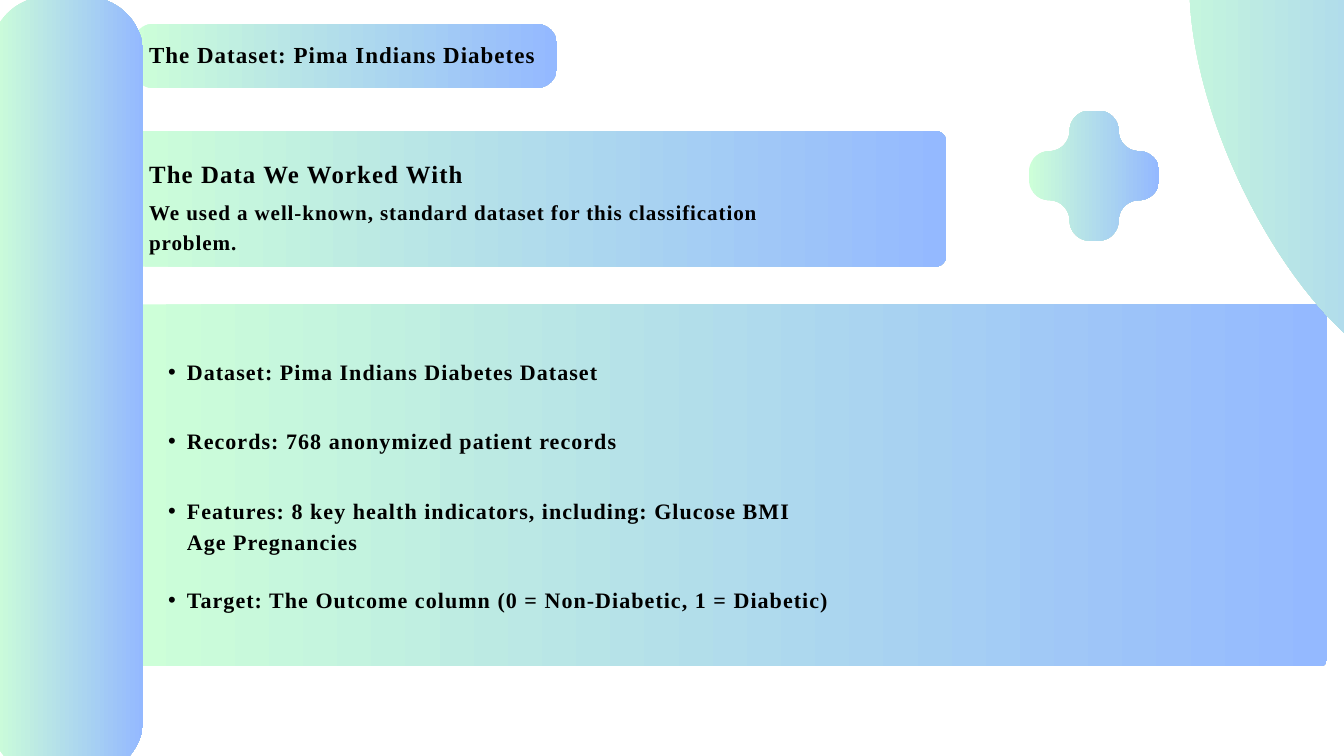
"""Builds the Pima Indians Diabetes dataset slide."""
from math import cos, radians, sin

from lxml.etree import SubElement
from pptx import Presentation
from pptx.dml.color import RGBColor
from pptx.enum.shapes import MSO_SHAPE as SHAPE
from pptx.enum.text import MSO_AUTO_SIZE as AUTO_SIZE
from pptx.oxml.ns import qn
from pptx.util import Pt

PX = 9525
FONT = "Times New Roman"
COLORS = {"mint": "CDFFD8", "blue": "94B9FF", "text": "000000"}


def paint(shape):
    shape.shadow.inherit = False
    shape.line.fill.background()
    shape.fill.gradient()
    shape.fill.gradient_angle = 0
    for stop, name in zip(shape.fill.gradient_stops, ("mint", "blue")):
        stop.color.rgb = RGBColor.from_string(COLORS[name])
    shape._element.spPr.find(qn("a:gradFill")).set("rotWithShape", "0")


def write(text, top, width, height, size, leading, tracking, bullet=False):
    box = slide.shapes.add_textbox(213 * PX, top * PX, width * PX, height * PX)
    frame = box.text_frame
    frame.margin_left = frame.margin_top = frame.margin_right = frame.margin_bottom = 0
    frame.word_wrap = True
    frame.auto_size = AUTO_SIZE.SHAPE_TO_FIT_TEXT
    paragraph = frame.paragraphs[0]
    paragraph.line_spacing = Pt(leading)
    if bullet:
        paragraph.level = 1
        properties = paragraph._p.get_or_add_pPr()
        properties.set("marL", str(54 * PX))
        properties.set("indent", str(-27 * PX))
        SubElement(properties, qn("a:buFont")).set("typeface", "Arial")
        SubElement(properties, qn("a:buChar")).set("char", "•")
    run = paragraph.add_run()
    run.text = text
    run.font.name = FONT
    run.font.size = Pt(size)
    run.font.bold = True
    run.font.color.rgb = RGBColor.from_string(COLORS["text"])
    run._r.get_or_add_rPr().set("spc", str(tracking))


deck = Presentation()
deck.slide_width, deck.slide_height = 1920 * PX, 1080 * PX
slide = deck.slides.add_slide(deck.slide_layouts[6])

title_panel = (189, 34, 607, 92, 30)
intro_panel = (173, 187, 1179, 194, 16)
facts_panel = (189, 435, 1707, 517, 10)
sidebar = (-14, -5, 219, 1114, 83)
for left, top, width, height, radius in (title_panel, intro_panel, facts_panel, sidebar):
    panel = slide.shapes.add_shape(
        SHAPE.ROUNDED_RECTANGLE, left * PX, top * PX, width * PX, height * PX)
    panel.adjustments[0] = radius / min(width, height)
    paint(panel)

center_x, center_y, radius = 1563, 251, 29
quarter_arcs = [(6, -64, -90, 0), (64, -64, 180, 90), (64, -6, -90, 0)]
outline = []
for turn in range(4):
    for arc_x, arc_y, start, end in quarter_arcs:
        for step in range(13):
            angle = radians(start + (end - start) * step / 12)
            x, y = arc_x + radius * cos(angle), arc_y + radius * sin(angle)
            for _ in range(turn):
                x, y = -y, x
            outline.append((round((center_x + x) * PX), round((center_y + y) * PX)))
cross_builder = slide.shapes.build_freeform(*outline[0])
cross_builder.add_line_segments(outline[1:], close=True)
paint(cross_builder.convert_to_shape())

corner_ellipse = slide.shapes.add_shape(SHAPE.OVAL, 1754 * PX, -196 * PX, 332 * PX, 766 * PX)
corner_ellipse.rotation = 335.1
paint(corner_ellipse)

write("The Dataset: Pima Indians Diabetes", 51, 563, 50, 24.6, 34.4, 110)
write("The Data We Worked With", 219, 709, 53, 26.6, 37.2, 120)
write("We used a well-known, standard dataset for this classification problem.",
      279, 985, 45, 22.6, 31.6, 100)

facts = [
    ("Dataset: Pima Indians Diabetes Dataset", 506, 964, 47),
    ("Records: 768 anonymized patient records", 605, 964, 47),
    ("Features: 8 key health indicators, including: Glucose BMI Age Pregnancies", 705, 964, 89),
    ("Target: The Outcome column (0 = Non-Diabetic, 1 = Diabetic)", 832, 1707, 47),
]
for fact, top, width, height in facts:
    write(fact, top, width, height, 23.6, 33, 110, bullet=True)

deck.save("out.pptx")
